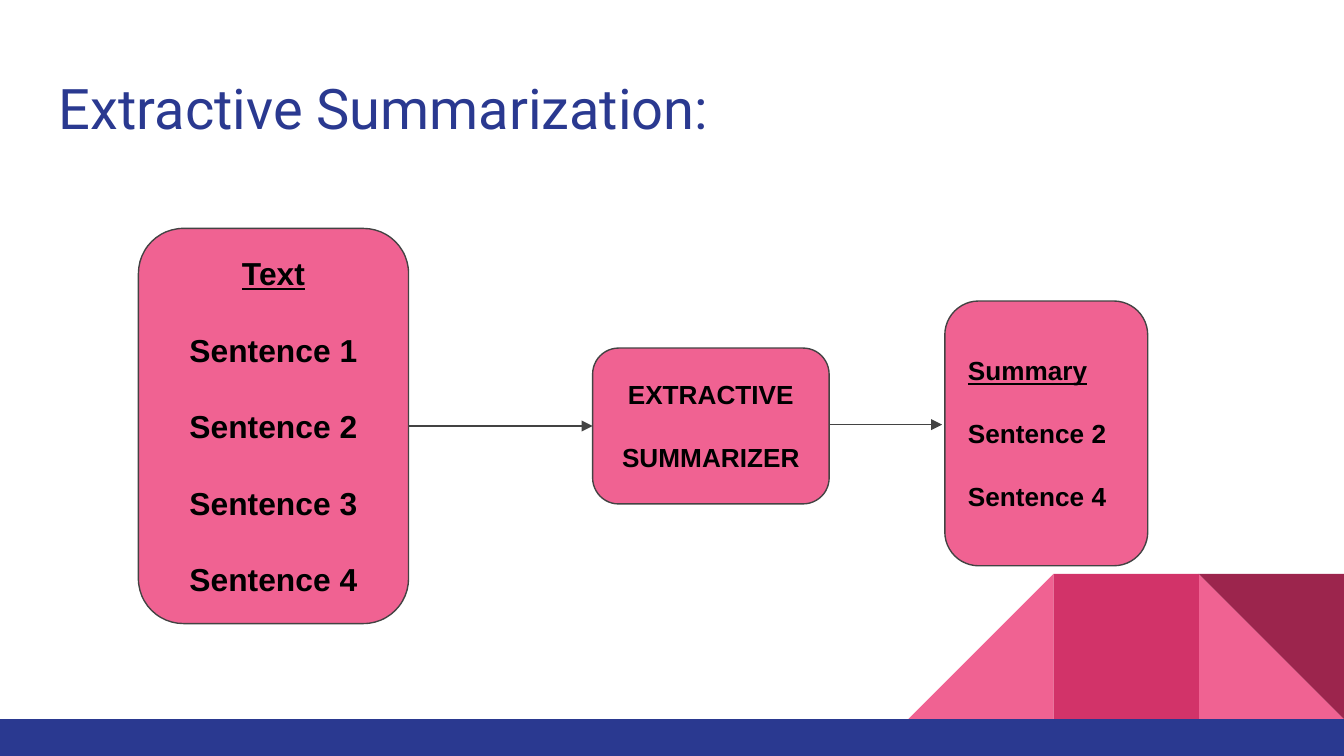
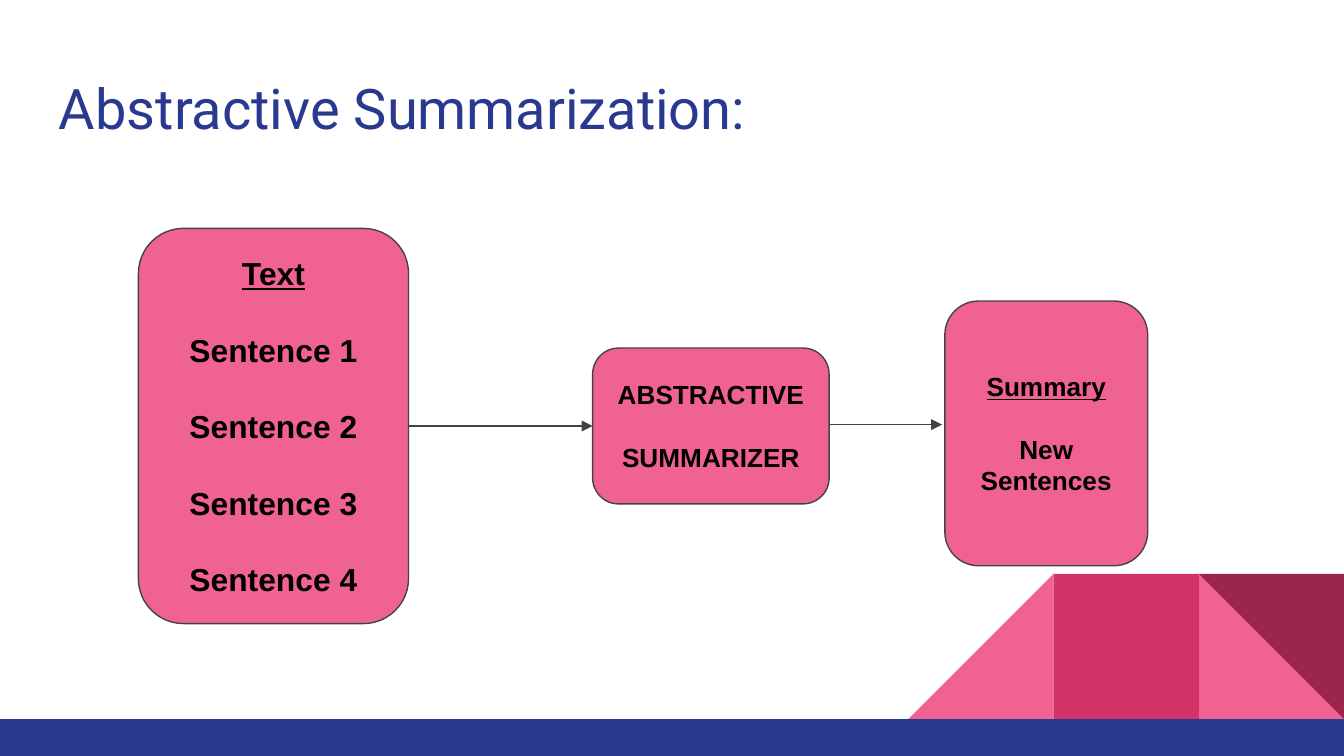
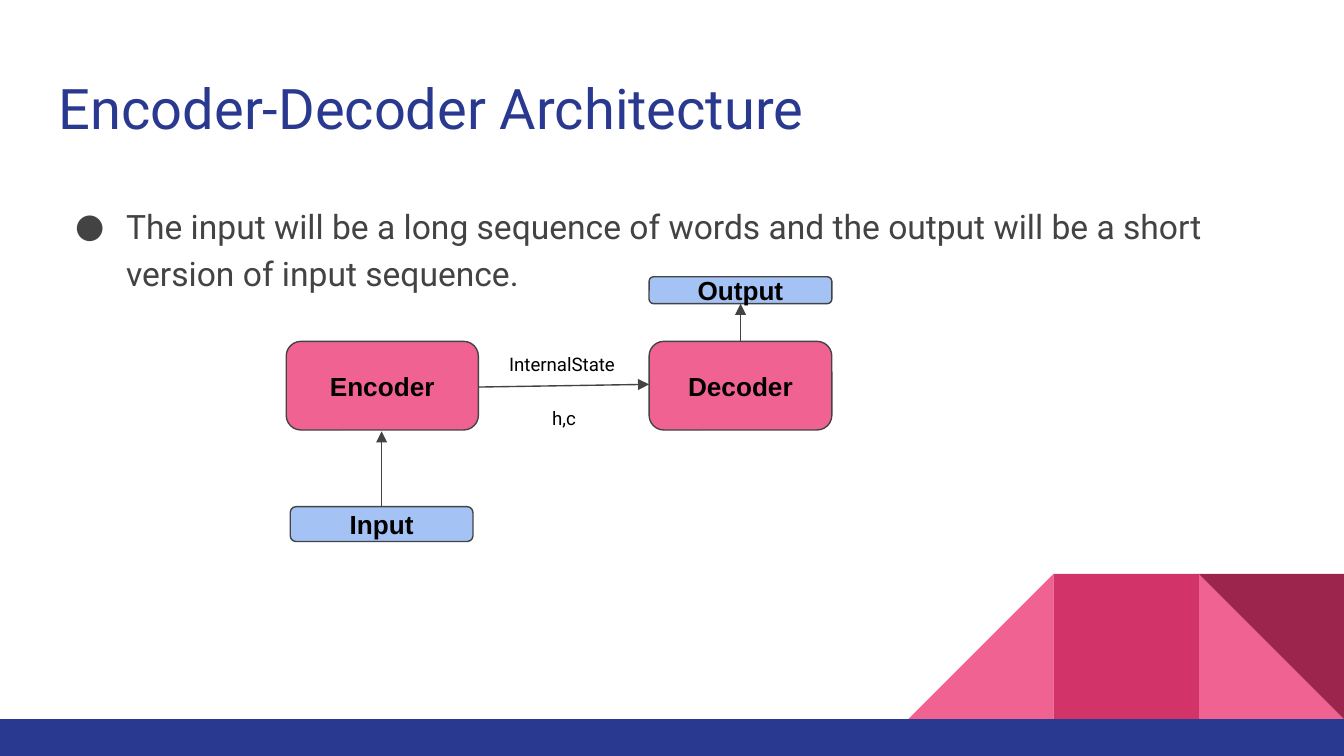
from pptx import Presentation
from pptx.dml.color import RGBColor as RGB
from pptx.enum.shapes import MSO_CONNECTOR as LINK, MSO_SHAPE as SHAPE
from pptx.enum.text import MSO_ANCHOR as ANCHOR, PP_ALIGN as ALIGN
from pptx.oxml.ns import qn
from pptx.util import Inches, Pt
from lxml.etree import SubElement as Sub

# Colours
PINK = RGB(0xF0, 0x62, 0x92)
ROSE = RGB(0xD2, 0x33, 0x69)
WINE = RGB(0x9C, 0x25, 0x4D)
NAVY = RGB(0x2A, 0x39, 0x90)
SKY = RGB(0xA4, 0xC2, 0xF4)
GREY = RGB(0x43, 0x43, 0x43)
BLACK = RGB(0, 0, 0)

# Sizes in inches and text formats
WIDE = 10
HIGH = WIDE * 9 / 16
SIDE, FLOOR = 1.08, 5.35
PAD = 0.1
GAP = 1.21  # space between box lines, in font sizes
HEAD = {"name": "Roboto", "size": Pt(30), "color": NAVY}
BODY = {"name": "Roboto", "size": Pt(18), "color": GREY}
NOTE = {"name": "Roboto", "size": Pt(10), "color": BLACK}
BOLD = {"name": "Arial", "size": Pt(14), "color": BLACK, "bold": True}
LARGE = {**BOLD, "size": Pt(17)}

# Content: title, summarizer lines, summary lines, summary alignment
FLOWS = [
    ("Extractive Summarization:", ["EXTRACTIVE", "SUMMARIZER"],
     ["Summary", "Sentence 2", "Sentence 4"], ALIGN.LEFT),
    ("Abstractive Summarization:", ["ABSTRACTIVE", "SUMMARIZER"],
     ["Summary", "New Sentences"], ALIGN.CENTER),
]
SOURCE = ["Text"] + [f"Sentence {n}" for n in range(1, 5)]
FLOW_LINKS = [((3.04, 3.17), (4.41, 3.17)), ((6.17, 3.16), (7.01, 3.16))]

MODEL = "Encoder-Decoder Architecture"
POINT = ("The input will be a long sequence of words and the output "
         "will be a short version of input sequence.")
PARTS = [
    ("Encoder", (2.13, 2.54, 1.43, 0.66), PINK),
    ("Decoder", (4.83, 2.54, 1.36, 0.66), PINK),
    ("Input", (2.16, 3.77, 1.36, 0.26), SKY),
    ("Output", (4.83, 2.06, 1.36, 0.2), SKY),
]
MODEL_LINKS = [((3.56, 2.88), (4.83, 2.86)), ((2.84, 3.77), (2.84, 3.21)),
               ((5.51, 2.54), (5.51, 2.26))]
NOTES = [("InternalState", (3.69, 2.54, 1.01, 0.29)),
         ("h,c", (4.01, 2.94, 0.41, 0.2))]


def style(font, form):
    for key, val in form.items():
        if key == "color":
            font.color.rgb = val
        else:
            setattr(font, key, val)


def write(shape, lines, form, align=ALIGN.LEFT, anchor=ANCHOR.TOP, under=False):
    frame = shape.text_frame
    frame.word_wrap = True
    frame.vertical_anchor = anchor
    for edge in ("left", "right", "top", "bottom"):
        setattr(frame, f"margin_{edge}", Inches(PAD))
    for i, line in enumerate(lines):
        para = frame.add_paragraph() if i else frame.paragraphs[0]
        para.alignment = align
        if i:
            para.space_before = Pt(round(form["size"].pt * GAP, 1))
        run = para.add_run()
        run.text = line
        style(run.font, form)
        if under and i == 0:
            run.font.underline = True
    return frame


def label(slide, text, at, form):
    return write(slide.shapes.add_textbox(*map(Inches, at)), [text], form)


def block(slide, kind, at, fill):
    shape = slide.shapes.add_shape(kind, *map(Inches, at))
    shape.shadow.inherit = False
    shape.fill.solid()
    shape.fill.fore_color.rgb = fill
    shape.line.fill.background()
    return shape


def box(slide, lines, at, fill=PINK, form=BOLD, align=ALIGN.CENTER, under=False):
    shape = block(slide, SHAPE.ROUNDED_RECTANGLE, at, fill)
    shape.line.color.rgb = GREY
    shape.line.width = Pt(0.75)
    write(shape, lines, form, align, ANCHOR.MIDDLE, under)


def arrow(slide, start, end):
    link = slide.shapes.add_connector(LINK.STRAIGHT, *map(Inches, start + end))
    link.line.color.rgb = GREY
    link.line.width = Pt(0.75)
    props = link._element.spPr
    Sub(props.find(qn("a:ln")), qn("a:tailEnd"), type="triangle")
    Sub(props, qn("a:effectLst"))


def bullet(para):
    props = para._p.get_or_add_pPr()
    props.set("marL", str(Inches(0.5)))
    props.set("indent", str(Inches(-0.38)))
    tint = Sub(props, qn("a:buClr"))
    Sub(tint, qn("a:srgbClr"), val=str(GREY))
    Sub(props, qn("a:buFont"), typeface=BODY["name"])
    Sub(props, qn("a:buChar"), char="●")


def page(deck, title):
    slide = deck.slides.add_slide(deck.slide_layouts[6])
    # Corner pattern, in columns counted from the right edge
    tiles = [(1, SHAPE.RIGHT_TRIANGLE, PINK, False, 0),
             (3, SHAPE.RIGHT_TRIANGLE, PINK, True, 0),
             (2, SHAPE.RECTANGLE, ROSE, False, 0),
             (1, SHAPE.RIGHT_TRIANGLE, WINE, False, 180)]
    for col, kind, fill, flip, turn in tiles:
        at = (WIDE - col * SIDE, FLOOR - SIDE, SIDE, SIDE)
        tile = block(slide, kind, at, fill)
        tile.rotation = turn
        if flip:
            tile._element.spPr.find(qn("a:xfrm")).set("flipH", "1")
    # Bottom band and title
    block(slide, SHAPE.RECTANGLE, (0, FLOOR, WIDE, HIGH - FLOOR), NAVY)
    label(slide, title, (0.34, 0.45, 9.32, 0.66), HEAD)
    return slide


def main():
    deck = Presentation()
    deck.slide_width, deck.slide_height = Inches(WIDE), Inches(HIGH)

    # Summarization flows
    for title, tool, result, align in FLOWS:
        slide = page(deck, title)
        box(slide, SOURCE, (1.03, 1.7, 2.01, 2.94), form=LARGE, under=True)
        box(slide, tool, (4.41, 2.59, 1.76, 1.16))
        box(slide, result, (7.03, 2.24, 1.51, 1.97), align=align, under=True)
        for start, end in FLOW_LINKS:
            arrow(slide, start, end)

    # Encoder and decoder
    slide = page(deck, MODEL)
    para = label(slide, POINT, (0.34, 1.39, 9.32, 3.65), BODY).paragraphs[0]
    para.line_spacing = 1.15
    bullet(para)
    for name, at, fill in PARTS:
        box(slide, [name], at, fill)
    for start, end in MODEL_LINKS:
        arrow(slide, start, end)
    for text, at in NOTES:
        label(slide, text, at, NOTE)

    deck.save("out.pptx")


if __name__ == "__main__":
    main()
